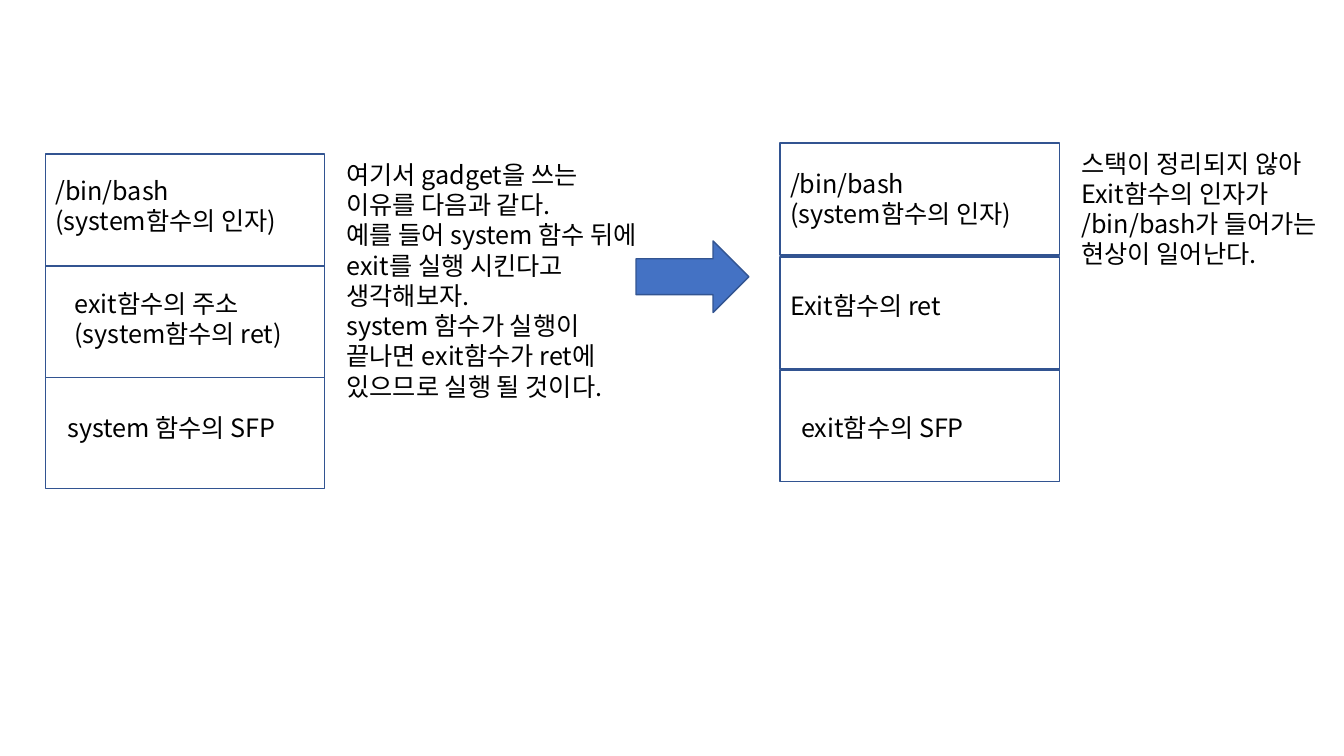
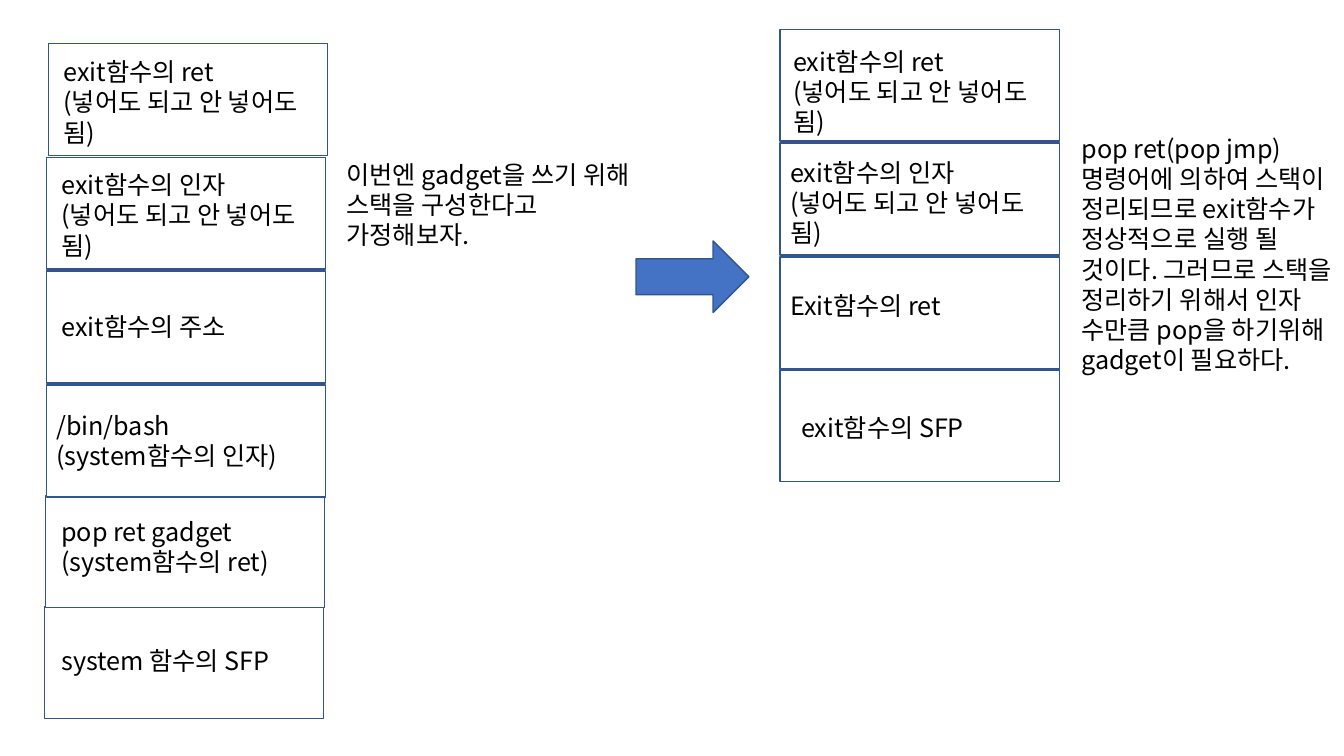
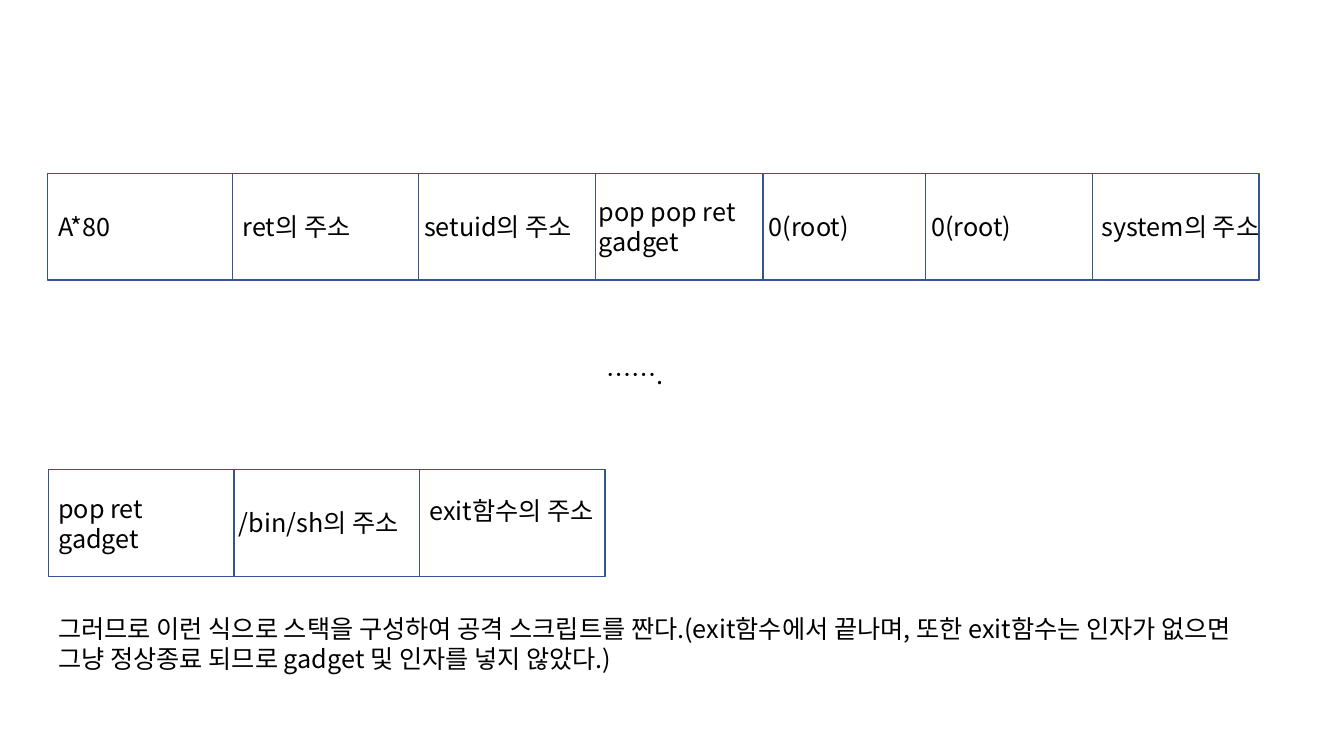
from itertools import accumulate

from lxml import etree
from pptx import Presentation
from pptx.dml.color import RGBColor
from pptx.enum import shapes, text
from pptx.oxml import ns
from pptx.util import Pt

# Shared style
FONT = "Noto Sans CJK KR"
INK = RGBColor(0x00, 0x00, 0x00)
WHITE = RGBColor(0xFF, 0xFF, 0xFF)
BLUE = RGBColor(0x44, 0x72, 0xC4)
OUTLINE = RGBColor(0x32, 0x54, 0x91)
RECT = shapes.MSO_SHAPE.RECTANGLE
ARROW = shapes.MSO_SHAPE.RIGHT_ARROW

# Shared geometry, in points
FRAME_W, FRAME_H = 199.4, 79.9
ROW_H = 76.3
LINE_1, LINE_2, LINE_3 = 28.8, 51.1, 72.7
RIGHT_X = 557.3
RIGHT_TOPS = [102.2, 183.6, 264.2]

# Shared wording
BASH_ARG = ["/bin/bash", "(system함수의 인자)"]
OPTIONAL = "(넣어도 되고 안 넣어도 됨)"
EXIT_RET = ["exit함수의 ret", OPTIONAL]
EXIT_ARG = ["exit함수의 인자", OPTIONAL]

# Labels of the exit frame: left offset, top, width, height, lines
EXIT_FRAME = [
    (0, 203.8, 191.5, LINE_1, ["Exit함수의 ret"]),
    (7.9, 290.9, 182.9, LINE_1, ["exit함수의 SFP"]),
]


def add_figure(slide, kind, left, top, width, height, fill):
    figure = slide.shapes.add_shape(kind, Pt(left), Pt(top), Pt(width), Pt(height))
    figure.shadow.inherit = False
    figure.fill.solid()
    figure.fill.fore_color.rgb = fill
    figure.line.color.rgb = OUTLINE
    figure.line.width = Pt(1)


def add_label(slide, left, top, width, height, lines, align=text.PP_ALIGN.LEFT):
    frame = slide.shapes.add_textbox(Pt(left), Pt(top), Pt(width), Pt(height)).text_frame
    frame.word_wrap = True
    frame.auto_size = text.MSO_AUTO_SIZE.SHAPE_TO_FIT_TEXT
    for index, line in enumerate(lines):
        paragraph = frame.add_paragraph() if index else frame.paragraphs[0]
        paragraph.alignment = align
        run = paragraph.add_run()
        run.text = line
        run.font.name = FONT
        run.font.size = Pt(18)
        run.font.color.rgb = INK
        # Korean glyphs take their face from the East Asian font
        east_asian = etree.SubElement(run.font._element, ns.qn("a:ea"))
        east_asian.set("typeface", FONT)


def add_stack(slide, corners, labels):
    """Memory cells, drawn from the bottom up, with labels on top."""
    for left, top in reversed(corners):
        add_figure(slide, RECT, left, top, FRAME_W, FRAME_H, WHITE)
    base = corners[-1][0]
    for offset, top, width, height, lines in labels:
        add_label(slide, base + offset, top, width, height, lines)


def add_row(slide, left, top, widths, labels):
    """Payload cells side by side; labels give offset, top, height, wording."""
    lefts = accumulate(widths[:-1], initial=left)
    cells = list(zip(lefts, widths))
    for cell_left, width in cells:
        add_figure(slide, RECT, cell_left, top, width, ROW_H, WHITE)
    for (cell_left, _), (offset, label_top, height, wording) in zip(cells, labels):
        add_label(slide, cell_left + offset, label_top, 132.5, height, [wording])


def add_transition(slide):
    add_figure(slide, ARROW, 454.3, 172.1, 80.6, 51.1, BLUE)


def build_without_gadget(slide):
    # Stack of system()
    add_stack(slide, [(32.4, 110 + 79.6 * row) for row in range(3)], [
        (0, 121.7, FRAME_W, LINE_2, BASH_ARG),
        (13.7, 202.3, 182.9, LINE_2, ["exit함수의 주소", "(system함수의 ret)"]),
        (8.6, 290.9, 182.9, LINE_1, ["system 함수의 SFP"]),
    ])
    add_label(slide, 240.5, 110.2, 228.2, 185, [
        "여기서 gadget을 쓰는 이유를 다음과 같다. ",
        "예를 들어 system 함수 뒤에 exit를 실행 시킨다고 생각해보자. ",
        "system 함수가 실행이 끝나면 exit함수가 ret에 있으므로 실행 될 것이다. ",
    ])
    add_transition(slide)
    # Stack of exit()
    add_stack(slide, [(RIGHT_X, top) for top in RIGHT_TOPS],
              [(0, 116.6, FRAME_W, LINE_2, BASH_ARG)] + EXIT_FRAME)
    add_label(slide, 765.4, 102.2, 194.4, 94.3, [
        "스택이 정리되지 않아 ",
        "Exit함수의 인자가 /bin/bash가 들어가는 현상이 일어난다.",
    ])


def build_with_gadget(slide):
    # Stack of system() with the gadget
    corners = [(34.6, 31), (33.1, 112.3), (33.1, 193.7),
               (33.1, 275), (32.4, 354.2), (31.7, 433.4)]
    add_stack(slide, corners, [
        (6.5, 36.7, 186.5, LINE_3, EXIT_RET),
        (5, 117.4, 186.5, LINE_3, EXIT_ARG),
        (5, 218.9, 191.5, LINE_1, ["exit함수의 주소"]),
        (1.4, 289.4, FRAME_W, LINE_2, BASH_ARG),
        (5, 365, 182.9, LINE_2, ["pop ret gadget", "(system함수의 ret)"]),
        (5, 457.2, 182.9, LINE_1, ["system 함수의 SFP"]),
    ])
    add_label(slide, 240.5, 110.2, 228.2, LINE_3,
              ["이번엔 gadget을 쓰기 위해 스택을 구성한다고 가정해보자."])
    add_transition(slide)
    # Stack of exit() after the clean-up
    add_stack(slide, [(RIGHT_X, top) for top in [20.9] + RIGHT_TOPS], [
        (2.2, 29.5, 186.5, LINE_3, EXIT_RET),
        (0, 108.7, FRAME_W, LINE_3, EXIT_ARG),
    ] + EXIT_FRAME)
    add_label(slide, 765.4, 91.4, 194.4, 203.8, [
        "pop ret(pop jmp) 명령어에 의하여 스택이 정리되므로 exit함수가 "
        "정상적으로 실행 될 것이다. 그러므로 스택을 정리하기 위해서 "
        "인자 수만큼 pop을 하기위해 gadget이 필요하다. "])


def build_payload(slide):
    # Start of the payload
    add_row(slide, 33.8, 123.8, [132.5, 132.5, 126.7, 119.5, 115.9, 119.5, 118.8], [
        (0.7, 147.6, LINE_1, "A*80"),
        (0, 147.6, LINE_1, "ret의 주소"),
        (-2.9, 147.6, LINE_1, "setuid의 주소"),
        (-5, 136.8, LINE_2, "pop pop ret gadget"),
        (-2.9, 147.6, LINE_1, "0(root)"),
        (-2.9, 147.6, LINE_1, "0(root)"),
        (-0.7, 147.6, LINE_1, "system의 주소"),
    ])
    add_label(slide, 330.5, 253.4, 246.2, LINE_1, ["……."], text.PP_ALIGN.CENTER)
    # End of the payload
    add_row(slide, 34.6, 335.5, [132.5] * 3, [
        (0, 348.5, LINE_2, "pop ret gadget"),
        (-3.6, 358.6, LINE_1, "/bin/sh의 주소"),
        (0, 349.9, LINE_2, "exit함수의 주소"),
    ])
    # Conclusion
    add_label(slide, 34.6, 434.2, 888.5, LINE_2, [
        "그러므로 이런 식으로 스택을 구성하여 공격 스크립트를 짠다."
        "(exit함수에서 끝나며, 또한 exit함수는 인자가 없으면 그냥 정상종료 되므로 "
        "gadget 및 인자를 넣지 않았다.)"])


def main():
    deck = Presentation()
    deck.slide_width, deck.slide_height = Pt(960), Pt(540)
    blank = deck.slide_layouts[6]
    for build in (build_without_gadget, build_with_gadget, build_payload):
        build(deck.slides.add_slide(blank))
    deck.save("out.pptx")


main()
